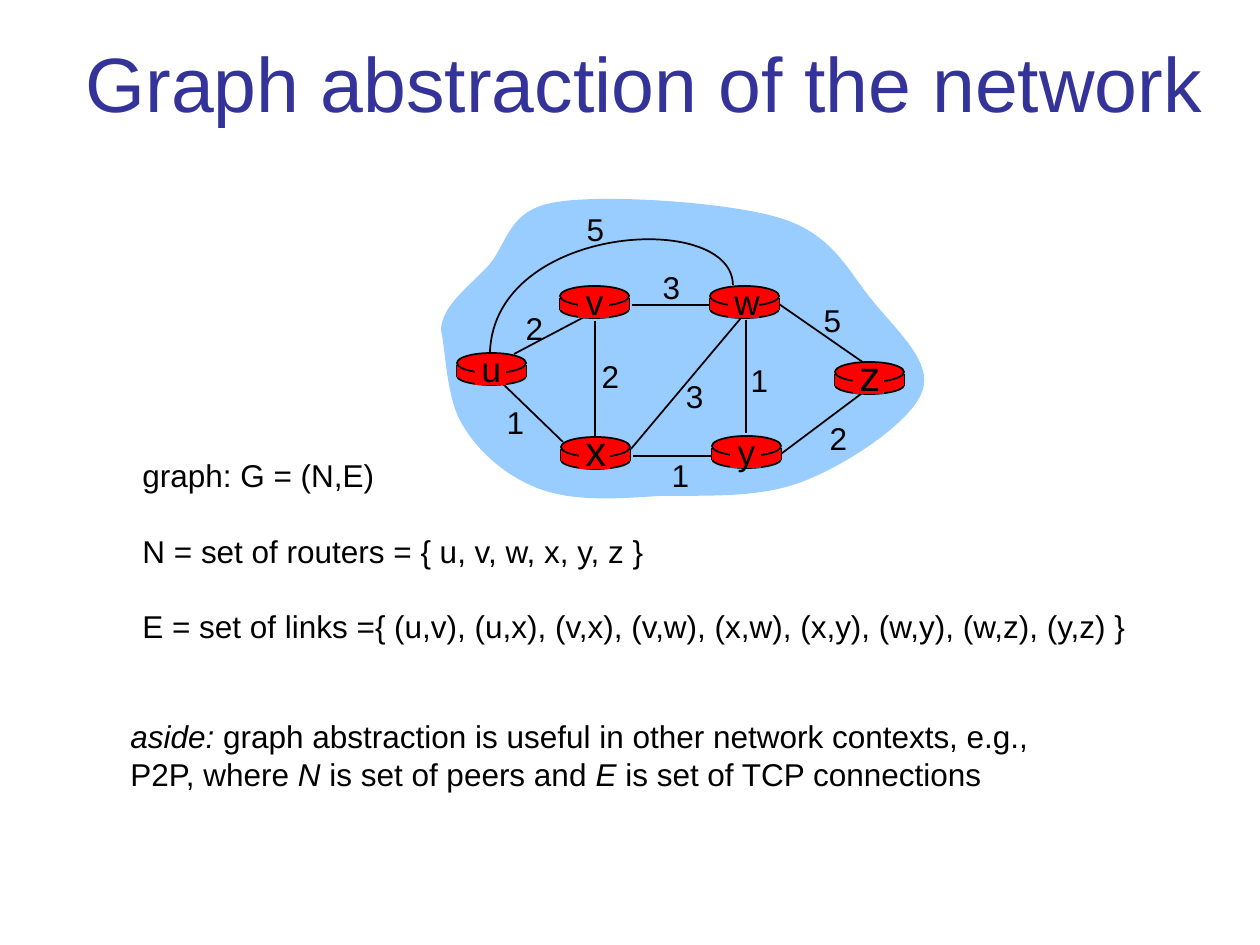
"""Build the slide that shows a network as a weighted graph of routers."""
from lxml.etree import SubElement
from pptx import Presentation
from pptx.dml.color import RGBColor
from pptx.enum.shapes import MSO_CONNECTOR, MSO_SHAPE
from pptx.enum.text import MSO_ANCHOR, MSO_AUTO_SIZE, PP_ALIGN
from pptx.oxml.ns import qn
from pptx.util import Pt

PX = 7257
BLACK, RED, SKY, INDIGO = "000000", "FF0000", "99CCFF", "333399"
color = RGBColor.from_string

deck = Presentation()
deck.slide_width, deck.slide_height = 1260 * PX, 945 * PX
page = deck.slides.add_slide(deck.slide_layouts[5])
shapes = page.shapes


def add_curve(start, points, closed):
    """Draw cubic curves from start, each given by two controls and an end."""
    builder = shapes.build_freeform(*start, scale=PX)
    builder.add_line_segments(points, close=closed)
    curve = builder.convert_to_shape()
    curve.shadow.inherit = False
    lines = list(curve._element.iter(qn("a:lnTo")))
    for first in range(0, len(points), 3):
        bend, *others = lines[first:first + 3]
        bend.tag = qn("a:cubicBezTo")
        for line in others:
            bend.append(line[0])
            line.getparent().remove(line)
    return curve


def add_text(left, top, width, height, lines, size, align=PP_ALIGN.LEFT, gap=0):
    """Add a text box whose lines are lists of (text, italic) spans."""
    box = shapes.add_textbox(left * PX, top * PX, width * PX, height * PX)
    frame = box.text_frame
    frame.word_wrap = align == PP_ALIGN.LEFT
    for number, line in enumerate(lines):
        para = frame.add_paragraph() if number else frame.paragraphs[0]
        para.alignment = align
        if number:
            para.space_before = Pt(gap)
        for text, italic in line:
            span = para.add_run()
            span.text = text
            span.font.name, span.font.size, span.font.italic = "Arial", Pt(size), italic
            span.font.color.rgb = color(BLACK)


title = shapes.title
title.left, title.top, title.width, title.height = 73 * PX, 27 * PX, 1155 * PX, 110 * PX
title.text_frame.text = "Graph abstraction of the network"
title.text_frame.auto_size = MSO_AUTO_SIZE.NONE
title.text_frame.vertical_anchor = MSO_ANCHOR.MIDDLE
heading = title.text_frame.paragraphs[0]
heading.alignment = PP_ALIGN.LEFT
heading_font = heading.runs[0].font
heading_font.name, heading_font.size = "Arial", Pt(44)
heading_font.color.rgb = color(INDIGO)

cloud = add_curve((441, 330), [
    (442, 305), (470, 286), (489, 265),
    (508, 243), (508, 209), (557, 202),
    (605, 194), (728, 202), (780, 218),
    (833, 234), (848, 271), (872, 300),
    (895, 329), (934, 362), (922, 392),
    (911, 422), (848, 464), (804, 481),
    (760, 499), (702, 495), (658, 496),
    (615, 499), (575, 501), (543, 490),
    (510, 479), (480, 454), (464, 427),
    (446, 401), (446, 350), (441, 330),
], True)
cloud.fill.solid()
cloud.fill.fore_color.rgb = color(SKY)
cloud.line.fill.background()

arc = add_curve((733, 285), [(732, 210), (495, 224), (490, 352)], False)
arc.fill.background()
arc.line.color.rgb = color(BLACK)
arc.line.width = Pt(1)

routers = [
    ("u", 457, 353, 20), ("x", 561, 437, 24), ("v", 560, 286, 20),
    ("w", 710, 286, 20), ("y", 712, 436, 20), ("z", 835, 362, 24),
]
links = [
    (514, 354, 590, 314), (746, 320, 746, 433), (595, 321, 595, 438),
    (631, 449, 741, 318), (781, 454, 861, 394), (633, 456, 712, 456),
    (503, 384, 563, 442), (632, 305, 711, 305), (779, 304, 864, 363),
]
sides = [(left + dx, top + 12, left + dx, top + 24) for _, left, top, _ in routers for dx in (0, 69)]
for ends in links + sides:
    link = shapes.add_connector(MSO_CONNECTOR.STRAIGHT, *(end * PX for end in ends))
    link.line.color.rgb = color(BLACK)
    link.line.width = Pt(1)
    SubElement(link._element.spPr, qn("a:effectLst"))

router_parts = [
    (MSO_SHAPE.OVAL, 0, 14, 69, 18, True),
    (MSO_SHAPE.RECTANGLE, 0, 12, 69, 12, False),
    (MSO_SHAPE.OVAL, 0, 0, 69, 20, True),
    (MSO_SHAPE.RECTANGLE, 18, 3, 31, 29, False),
]
for name, left, top, size in routers:
    for kind, dx, dy, width, height, outlined in router_parts:
        part = shapes.add_shape(kind, (left + dx) * PX, (top + dy) * PX, width * PX, height * PX)
        part.shadow.inherit = False
        part.fill.solid()
        part.fill.fore_color.rgb = color(RED)
        if outlined:
            part.line.color.rgb = color(BLACK)
            part.line.width = Pt(1)
        else:
            part.line.fill.background()
    rise, height = (12, 55) if size == 20 else (19, 63)
    add_text(left + 12, top - rise, 45, height, [[(name, False)]], size, PP_ALIGN.CENTER)

costs = [
    ("2", 513, 303), ("2", 589, 351), ("1", 494, 397), ("3", 673, 371), ("1", 659, 450),
    ("1", 738, 355), ("2", 817, 413), ("5", 811, 295), ("3", 650, 262), ("5", 574, 204),
]
for cost, left, top in costs:
    add_text(left, top, 43, 50, [[(cost, False)]], 18, PP_ALIGN.CENTER)

definitions = [
    "graph: G = (N,E)",
    "N = set of routers = { u, v, w, x, y, z }",
    "E = set of links ={ (u,v), (u,x), (v,x), (v,w), (x,w), (x,y), (w,y), (w,z), (y,z) }",
]
add_text(130, 450, 1019, 202, [[(text, False)] for text in definitions], 18, gap=21.5)

aside = [
    [("aside:", True), (" graph abstraction is useful in other network contexts, e.g.,", False)],
    [("P2P, where ", False), ("N", True), (" is set of peers and ", False), ("E", True),
     (" is set of TCP connections", False)],
]
add_text(118, 711, 1012, 88, aside, 18)

deck.save("out.pptx")
